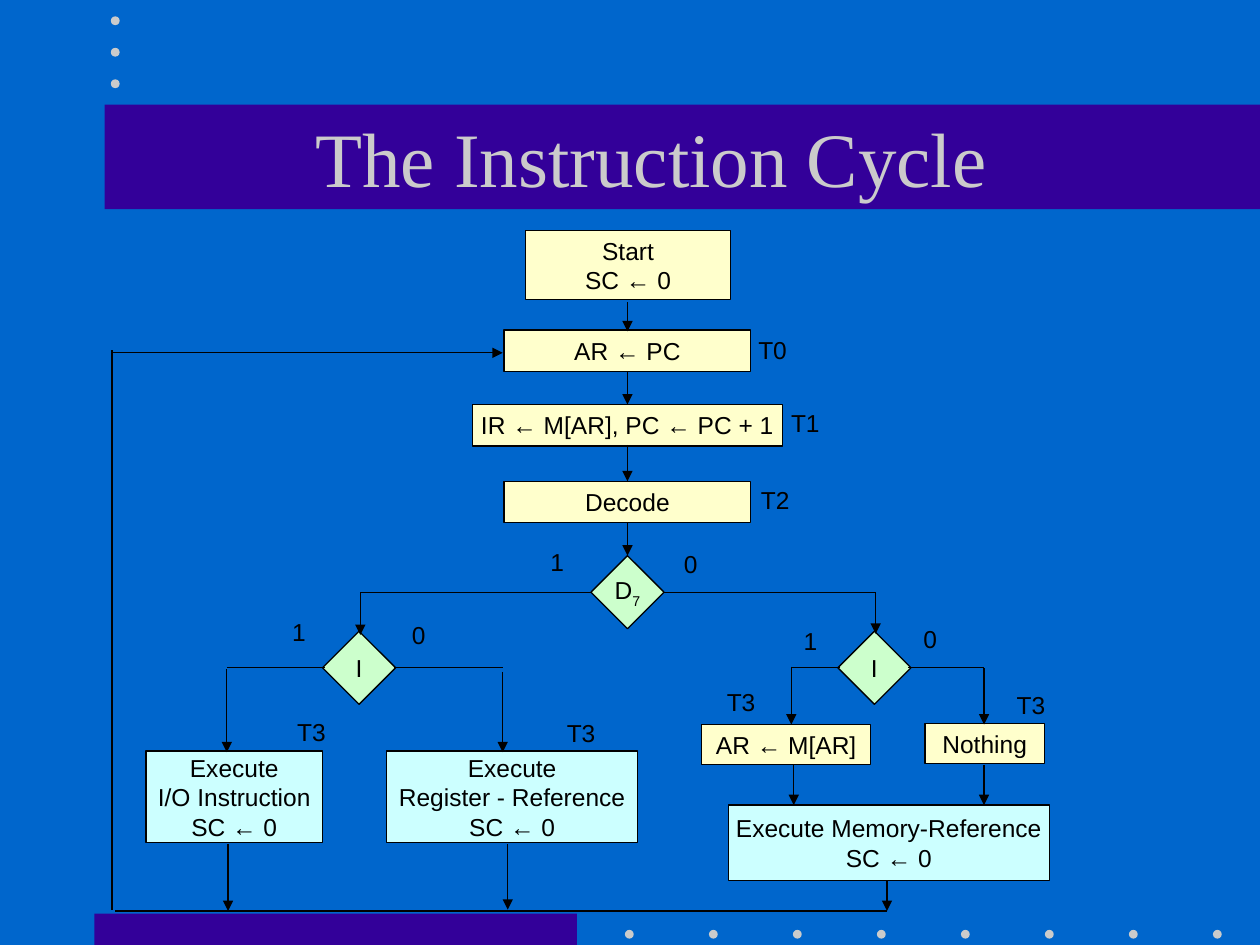
from pptx import Presentation
from pptx.enum.shapes import MSO_CONNECTOR as Link, MSO_SHAPE as Shape
from pptx.enum.text import MSO_ANCHOR as Anchor, MSO_AUTO_SIZE as Fit, PP_ALIGN as Align
from pptx.dml.color import RGBColor
from pptx.oxml.ns import qn
from pptx.util import Inches, Pt
from lxml.etree import SubElement

BLUE, PURPLE, GREY, BLACK = "0066CC", "330099", "CBCBCB", "000000"
YELLOW, GREEN, CYAN = "FFFFCC", "CCFFCC", "CCFFFF"


def paint(fill, colour):
    fill.solid()
    fill.fore_color.rgb = RGBColor.from_string(colour)


def write(frame, lines, align, size=14, font="Arial", colour=BLACK):
    """Fill a text frame; an underscore starts a subscript."""
    for number, line in enumerate(lines):
        para = frame.paragraphs[0] if number == 0 else frame.add_paragraph()
        para.alignment = align
        for part, text in enumerate(line.split("_")):
            span = para.add_run()
            span.text = text
            span.font.size = Pt(size)
            span.font.name = font
            paint(span.font.fill, colour)
            if part:
                span.font._element.set("baseline", "-25000")


deck = Presentation()
deck.slide_width, deck.slide_height = Inches(10), Inches(7.5)
page = deck.slides.add_slide(deck.slide_layouts[5])
paint(page.background.fill, BLUE)

# Bands and dots
dot = 0.07
decorations = [(Shape.RECTANGLE, 0.75, 7.25, 3.83, 0.25, PURPLE),
               (Shape.RECTANGLE, 0.83, 0.83, 9.17, 0.83, PURPLE)]
decorations += [(Shape.OVAL, 4.96 + i * 2 / 3, 7.38, dot, dot, GREY) for i in range(8)]
decorations += [(Shape.OVAL, 0.88, 0.13 + i * 0.25, dot, dot, GREY) for i in range(3)]
for kind, left, top, width, height, colour in decorations:
    mark = page.shapes.add_shape(kind, Inches(left), Inches(top), Inches(width), Inches(height))
    mark.shadow.inherit = False
    paint(mark.fill, colour)
    mark.line.fill.background()

# Title, in front of its band
title = page.shapes.title
title.left, title.top, title.width, title.height = map(Inches, (0.92, 0.83, 8.5, 0.83))
title.text_frame.auto_size = Fit.NONE
title.text_frame.vertical_anchor = Anchor.MIDDLE
write(title.text_frame, ["The Instruction Cycle"], Align.CENTER, 44, "Times New Roman", GREY)
page.shapes._spTree.append(title._element)

# Steps and decisions
nodes = [
    (Shape.RECTANGLE, 4.17, 1.83, 1.63, 0.55, YELLOW, ["Start", "SC ← 0"]),
    (Shape.RECTANGLE, 4, 2.62, 1.96, 0.33, YELLOW, ["AR ← PC"]),
    (Shape.RECTANGLE, 3.75, 3.21, 2.46, 0.33, YELLOW, ["IR ← M[AR], PC ← PC + 1"]),
    (Shape.RECTANGLE, 4, 3.82, 1.96, 0.33, YELLOW, ["Decode"]),
    (Shape.DIAMOND, 4.69, 4.41, 0.58, 0.58, GREEN, ["D_7"]),
    (Shape.DIAMOND, 2.56, 5.01, 0.58, 0.58, GREEN, ["I"]),
    (Shape.DIAMOND, 6.65, 5.01, 0.58, 0.58, GREEN, ["I"]),
    (Shape.RECTANGLE, 1.16, 5.96, 1.4, 0.73, CYAN, ["Execute", "I/O Instruction", "SC ← 0"]),
    (Shape.RECTANGLE, 3.07, 5.96, 1.99, 0.73, CYAN,
     ["Execute", "Register - Reference", "SC ← 0"]),
    (Shape.RECTANGLE, 5.57, 5.75, 1.34, 0.32, YELLOW, ["AR ← M[AR]"]),
    (Shape.RECTANGLE, 7.34, 5.74, 0.95, 0.32, YELLOW, ["Nothing"]),
    (Shape.RECTANGLE, 5.78, 6.39, 2.55, 0.6, CYAN, ["Execute Memory-Reference", "SC ← 0"]),
]
for kind, left, top, width, height, colour, lines in nodes:
    node = page.shapes.add_shape(kind, Inches(left), Inches(top), Inches(width), Inches(height))
    node.shadow.inherit = False
    paint(node.fill, colour)
    paint(node.line.fill, BLACK)
    node.line.width = Pt(0.75)
    node.text_frame.word_wrap = False
    node.text_frame.vertical_anchor = Anchor.MIDDLE
    write(node.text_frame, lines, Align.CENTER)

# Flow lines: x1, y1, x2, y2
arrows = [
    (4.98, 2.4, 4.98, 2.63), (4.98, 2.95, 4.98, 3.21), (4.98, 3.53, 4.98, 3.82),
    (4.98, 4.15, 4.98, 4.41), (6.3, 6.07, 6.3, 6.39), (7.81, 6.07, 7.81, 6.39),
    (7.04, 6.99, 7.04, 7.23), (4.03, 6.7, 4.03, 7.22), (1.81, 6.7, 1.81, 7.23),
    (0.89, 2.8, 3.99, 2.8), (2.86, 4.7, 2.86, 5.04), (3.99, 5.33, 3.99, 5.97),
    (1.8, 5.31, 1.8, 5.97), (6.28, 5.29, 6.28, 5.75), (7.81, 5.3, 7.81, 5.75),
    (6.95, 4.7, 6.95, 5.03),
]
plain_lines = [
    (6.67, 5.3, 6.28, 5.3), (7.21, 5.3, 7.81, 5.3), (7.04, 7.23, 0.91, 7.23),
    (0.89, 7.22, 0.89, 2.78), (3.13, 5.3, 3.99, 5.3), (2.58, 5.3, 1.8, 5.3),
    (4.69, 4.7, 2.86, 4.7), (5.27, 4.7, 6.95, 4.7),
]
for number, ends in enumerate(arrows + plain_lines):
    link = page.shapes.add_connector(Link.STRAIGHT, *map(Inches, ends))
    paint(link.line.fill, BLACK)
    link.line.width = Pt(0.75)
    if number < len(arrows):
        SubElement(link.line._get_or_add_ln(), qn("a:tailEnd"), type="triangle")
    SubElement(link._element.spPr, qn("a:effectLst"))

# Timing and branch labels
labels = [
    ("T0", 5.92, 2.61), ("T1", 6.18, 3.19), ("T2", 5.94, 3.8), ("T3", 7.97, 5.43),
    ("T3", 5.67, 5.4), ("T3", 4.4, 5.65), ("T3", 2.26, 5.64),
    ("0", 5.33, 4.31), ("1", 4.27, 4.29), ("0", 7.23, 4.9), ("1", 6.28, 4.92),
    ("0", 3.17, 4.87), ("1", 2.22, 4.85),
]
for text, left, top in labels:
    width = 0.43 if len(text) == 2 else 0.31
    box = page.shapes.add_textbox(Inches(left), Inches(top), Inches(width), Inches(0.34))
    box.text_frame.word_wrap = False
    box.text_frame.auto_size = Fit.SHAPE_TO_FIT_TEXT
    write(box.text_frame, [text], Align.LEFT)

deck.save("out.pptx")
